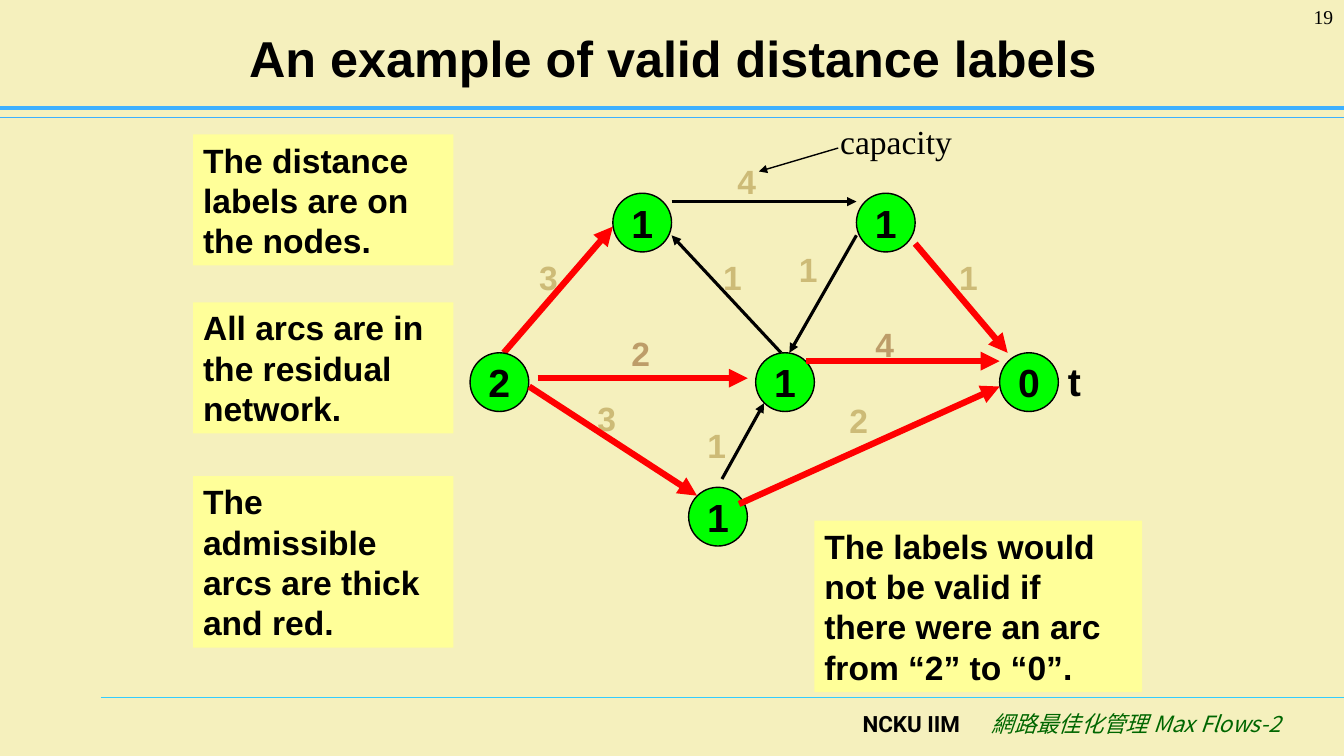
from dataclasses import dataclass

from lxml.etree import SubElement
from pptx import Presentation
from pptx.dml.color import RGBColor
from pptx.enum.shapes import MSO_CONNECTOR, MSO_SHAPE
from pptx.enum.text import MSO_ANCHOR, PP_ALIGN
from pptx.oxml.ns import qn
from pptx.util import Cm, Pt


@dataclass(frozen=True)
class Theme:
    background: str = "F5F0BD"
    ink: str = "000000"
    admissible: str = "FF0000"
    node: str = "00FF00"
    note: str = "FFFF99"
    capacity: str = "CDBB77"
    capacity_on_fill: str = "BD9D69"
    header_rule: str = "3DB0FF"
    footer_rule: str = "33CCFF"
    course: str = "006600"
    sans: str = "Arial"
    serif: str = "Times New Roman"
    school_font: str = "Roboto"
    course_font: str = "Noto Sans CJK SC"
    title_size: int = 36
    node_size: int = 28
    body_size: int = 24
    footer_size: int = 16
    page_size: int = 14


THEME = Theme()
NODE_DIAMETER = 1.48


def rgb(value):
    return RGBColor.from_string(value)


def write(frame, text, size=THEME.body_size, font=THEME.sans, color=THEME.ink,
          bold=True, italic=False, align=PP_ALIGN.LEFT, anchor=MSO_ANCHOR.TOP, wrap=True):
    frame.word_wrap = wrap
    frame.vertical_anchor = anchor
    paragraph = frame.paragraphs[0]
    paragraph.alignment = align
    run = paragraph.add_run()
    run.text = text
    run.font.name = font
    run.font.size = Pt(size)
    run.font.bold = bold
    run.font.italic = italic
    run.font.color.rgb = rgb(color)
    SubElement(run.font._element, qn("a:ea"), typeface=font)


class GraphSlide:
    def __init__(self, deck, theme):
        self.theme = theme
        self.slide = deck.slides.add_slide(deck.slide_layouts[5])
        self.shapes = self.slide.shapes
        self.slide.background.fill.solid()
        self.slide.background.fill.fore_color.rgb = rgb(theme.background)

    def title(self, text, box):
        heading = self.shapes.title
        heading.left, heading.top, heading.width, heading.height = map(Cm, box)
        write(heading.text_frame, text, size=self.theme.title_size,
              align=PP_ALIGN.CENTER, anchor=MSO_ANCHOR.MIDDLE)

    def text(self, text, box, **style):
        write(self.shapes.add_textbox(*map(Cm, box)).text_frame, text, **style)

    def panel(self, text, box, fill, kind=MSO_SHAPE.RECTANGLE, outline=None, **style):
        panel = self.shapes.add_shape(kind, *map(Cm, box))
        panel.shadow.inherit = False
        panel.fill.solid()
        panel.fill.fore_color.rgb = rgb(fill)
        if outline:
            panel.line.color.rgb = rgb(outline)
            panel.line.width = Pt(1)
        else:
            panel.line.fill.background()
        write(panel.text_frame, text, **style)

    def node(self, label, left, top):
        self.panel(label, (left, top, NODE_DIAMETER, NODE_DIAMETER), self.theme.node,
                   MSO_SHAPE.OVAL, self.theme.ink, size=self.theme.node_size,
                   align=PP_ALIGN.CENTER, anchor=MSO_ANCHOR.MIDDLE, wrap=False)

    def line(self, ends, color, width, arrow=False):
        line = self.shapes.add_connector(MSO_CONNECTOR.STRAIGHT, *map(Cm, ends))
        line.line.color.rgb = rgb(color)
        line.line.width = Pt(width)
        if arrow:
            SubElement(line.line._get_or_add_ln(), qn("a:tailEnd"), type="triangle")
        SubElement(line._element.spPr, qn("a:effectLst"))

    def arc(self, ends, admissible=False):
        color, width = (self.theme.admissible, 4.5) if admissible else (self.theme.ink, 2.25)
        self.line(ends, color, width, arrow=True)


def main():
    deck = Presentation()
    deck.slide_width, deck.slide_height = Cm(33.88), Cm(19.05)
    page = GraphSlide(deck, THEME)

    page.line((2.54, 17.58, 33.87, 17.58), THEME.footer_rule, 0.75)
    page.line((0, 2.95, 33.87, 2.95), THEME.header_rule, 0.75)
    page.line((0, 2.72, 33.87, 2.72), THEME.header_rule, 2.5)
    page.text("NCKU IIM", (18, 17.78, 6.45, 1.27), size=THEME.footer_size,
              font=THEME.school_font, align=PP_ALIGN.RIGHT)
    page.text("網路最佳化管理 Max Flows-2", (24.45, 17.78, 8.09, 1.27),
              size=THEME.footer_size, font=THEME.course_font, color=THEME.course,
              bold=False, italic=True, align=PP_ALIGN.RIGHT)
    page.title("An example of valid distance labels", (1.73, 0.33, 30.48, 2.21))
    page.text("19", (31.04, 0, 2.82, 1.27), size=THEME.page_size, font=THEME.serif,
              bold=False, align=PP_ALIGN.RIGHT)

    for capacity, left, top in (("4", 21.82, 8.05), ("2", 15.67, 8.26)):
        page.panel(capacity, (left, top, 1.5, 1.27), THEME.background,
                   color=THEME.capacity_on_fill)
    for capacity, left, top in (
        ("1", 23.93, 6.35), ("1", 19.89, 6.15), ("2", 21.16, 9.96), ("1", 17.58, 10.59),
        ("3", 13.34, 6.35), ("3", 14.81, 9.91), ("1", 17.98, 6.35), ("4", 18.34, 3.94),
    ):
        page.text(capacity, (left, top, 1.5, 1.27), color=THEME.capacity)

    page.arc((12.7, 8.89, 15.45, 5.71), admissible=True)
    for ends in (
        (19.69, 8.89, 16.93, 5.93), (21.59, 5.93, 19.9, 8.89),
        (18.2, 12.07, 19.26, 10.16), (16.93, 5.08, 21.59, 5.08),
    ):
        page.arc(ends)
    for distance, left, top in (
        ("0", 25.2, 8.89), ("2", 11.85, 8.89), ("1", 15.45, 4.87),
        ("1", 19.05, 8.89), ("1", 21.59, 4.87), ("1", 17.36, 12.28),
    ):
        page.node(distance, left, top)
    for ends in (
        (13.34, 9.74, 17.57, 12.49), (20.32, 9.1, 25.2, 9.1), (18.63, 12.7, 25.2, 9.74),
        (23.07, 6.14, 25.4, 8.89), (13.55, 9.53, 18.85, 9.53),
    ):
        page.arc(ends, admissible=True)

    for note, box in (
        ("The distance labels are on the nodes.", (4.87, 3.39, 6.56, 3.3)),
        ("All arcs are in the residual network.", (4.87, 7.62, 6.56, 3.3)),
        ("The admissible arcs are thick and red.", (4.87, 12, 6.56, 4.32)),
        ("The labels would not be valid if there were an arc from “2” to “0”.",
         (20.53, 13.12, 8.26, 4.32)),
    ):
        page.panel(note, box, THEME.note)

    page.text("t", (26.67, 8.89, 1.06, 1.45), size=THEME.node_size)
    page.line((21.13, 3.73, 19.13, 4.32), THEME.ink, 1, arrow=True)
    page.text("capacity", (20.93, 2.92, 3.33, 1.27), font=THEME.serif, bold=False, wrap=False)

    deck.save("out.pptx")


if __name__ == "__main__":
    main()
